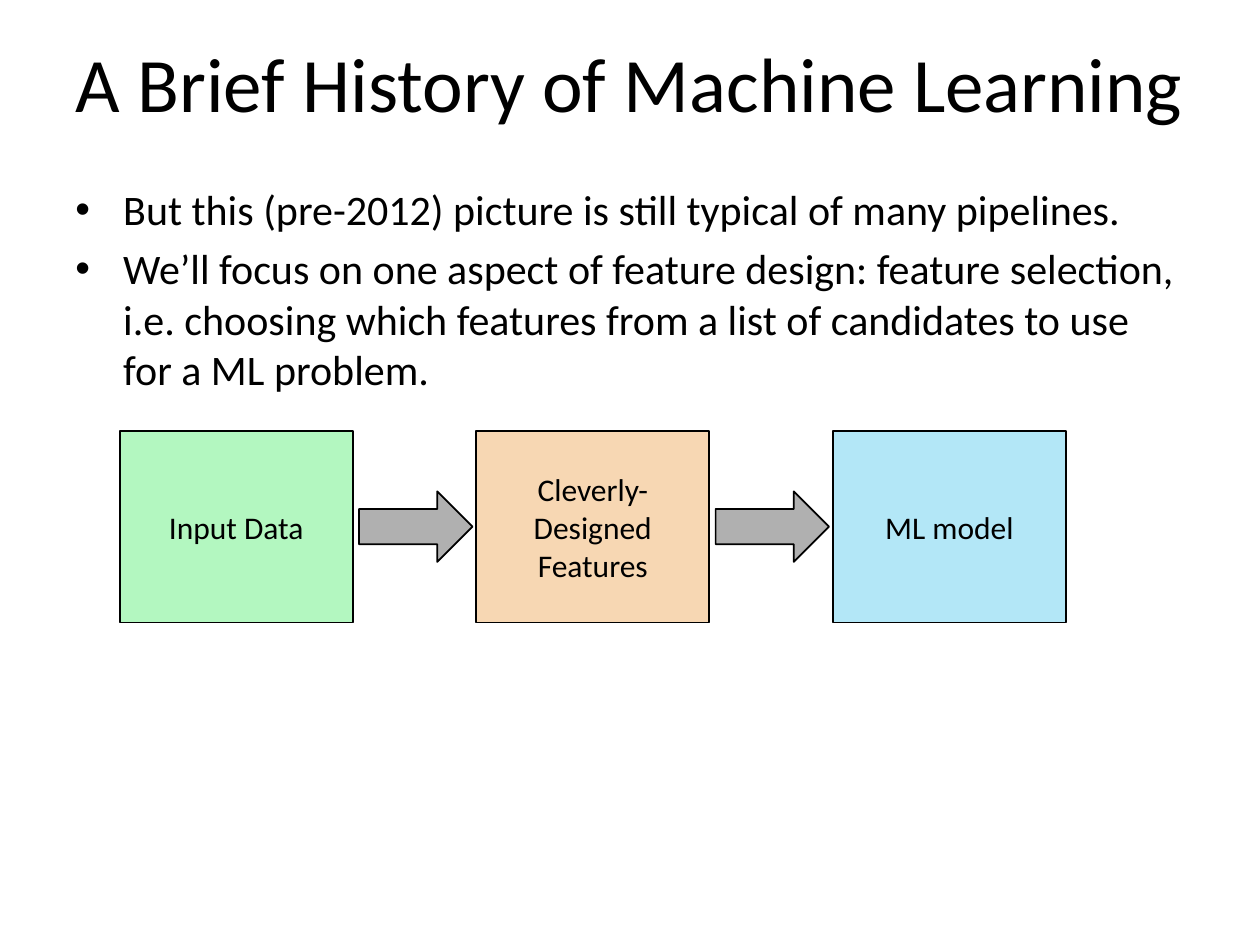
from lxml import etree
from pptx import Presentation
from pptx.dml.color import RGBColor
from pptx.enum.shapes import MSO_SHAPE
from pptx.enum.text import MSO_ANCHOR, MSO_AUTO_SIZE, PP_ALIGN
from pptx.oxml.ns import qn
from pptx.util import Inches, Pt

RECTANGLE = MSO_SHAPE.RECTANGLE
RIGHT_ARROW = MSO_SHAPE.RIGHT_ARROW
LEFT, CENTER = PP_ALIGN.LEFT, PP_ALIGN.CENTER
TOP, MIDDLE = MSO_ANCHOR.TOP, MSO_ANCHOR.MIDDLE

FONT = "Calibri"
BLACK = "000000"
ARROW_GRAY = "B0B0B0"
TITLE_ONLY = 5
MARGIN, CONTENT_WIDTH = 0.5, 9
FLOW_LEFT, FLOW_TOP, FLOW_PITCH = 0.95, 3.42, 2.83
BOX_WIDTH, BOX_HEIGHT = 1.85, 1.52
ARROW_WIDTH, ARROW_HEIGHT, ARROW_GAP = 0.9, 0.56, 0.05

BULLETS = [
    "But this (pre-2012) picture is still typical of many pipelines.",
    "We’ll focus on one aspect of feature design: feature selection, "
    "i.e. choosing which features from a list of candidates to use for a ML problem.",
]
STAGES = [
    ("Input Data", "B3F7C0"),
    ("Cleverly-Designed\nFeatures", "F7D7B3"),
    ("ML model", "B3E7F7"),
]


def color(hex_text):
    """Turn a hex string into a colour."""
    return RGBColor.from_string(hex_text)


def place(shape, left, top, width, height):
    """Move and size a shape in inches."""
    shape.left, shape.top = Inches(left), Inches(top)
    shape.width, shape.height = Inches(width), Inches(height)


def add_bullet(paragraph, indent=0.38):
    """Give a paragraph a round bullet with a hanging indent."""
    properties = paragraph._p.get_or_add_pPr()
    properties.set("marL", str(Inches(indent)))
    properties.set("indent", str(-Inches(indent)))
    etree.SubElement(properties, qn("a:buFont")).set("typeface", "Arial")
    etree.SubElement(properties, qn("a:buChar")).set("char", "•")


def write_text(shape, paragraphs, size=18, align=CENTER, anchor=MIDDLE,
               space_before=0, bulleted=False):
    """Fill a shape with formatted paragraphs."""
    frame = shape.text_frame
    frame.word_wrap = True
    frame.auto_size = MSO_AUTO_SIZE.NONE
    frame.vertical_anchor = anchor
    for index, text in enumerate(paragraphs):
        paragraph = frame.add_paragraph() if index else frame.paragraphs[0]
        paragraph.text = text
        paragraph.alignment = align
        paragraph.space_before = Pt(space_before)
        if bulleted:
            add_bullet(paragraph)
        for run in paragraph.runs:
            run.font.name = FONT
            run.font.size = Pt(size)
            run.font.color.rgb = color(BLACK)


def add_block(slide, kind, left, top, width, height, fill):
    """Add a filled preset shape with a thin black outline."""
    shape = slide.shapes.add_shape(
        kind, Inches(left), Inches(top), Inches(width), Inches(height))
    shape.shadow.inherit = False
    shape.fill.solid()
    shape.fill.fore_color.rgb = color(fill)
    shape.line.color.rgb = color(BLACK)
    shape.line.width = Pt(1)
    return shape


def add_pipeline(slide):
    """Draw the stages in a row with an arrow between neighbours."""
    arrow_top = FLOW_TOP + (BOX_HEIGHT - ARROW_HEIGHT) / 2
    for index, (label, fill) in enumerate(STAGES):
        left = FLOW_LEFT + index * FLOW_PITCH
        box = add_block(slide, RECTANGLE, left, FLOW_TOP, BOX_WIDTH, BOX_HEIGHT, fill)
        write_text(box, [label])
        if index < len(STAGES) - 1:
            add_block(slide, RIGHT_ARROW, left + BOX_WIDTH + ARROW_GAP, arrow_top,
                      ARROW_WIDTH, ARROW_HEIGHT, ARROW_GRAY)


def main():
    """Build the slide and save it."""
    presentation = Presentation()
    presentation.slide_width, presentation.slide_height = Inches(10), Inches(7.5)
    slide = presentation.slides.add_slide(presentation.slide_layouts[TITLE_ONLY])

    title = slide.shapes.title
    place(title, MARGIN, 0.12, CONTENT_WIDTH, 1.06)
    write_text(title, ["A Brief History of Machine Learning"], size=44)

    body = slide.shapes.add_textbox(0, 0, 0, 0)
    place(body, MARGIN, 1.41, CONTENT_WIDTH, 5.35)
    write_text(body, BULLETS, size=24, align=LEFT, anchor=TOP,
               space_before=4.8, bulleted=True)

    add_pipeline(slide)
    presentation.save("out.pptx")


if __name__ == "__main__":
    main()
